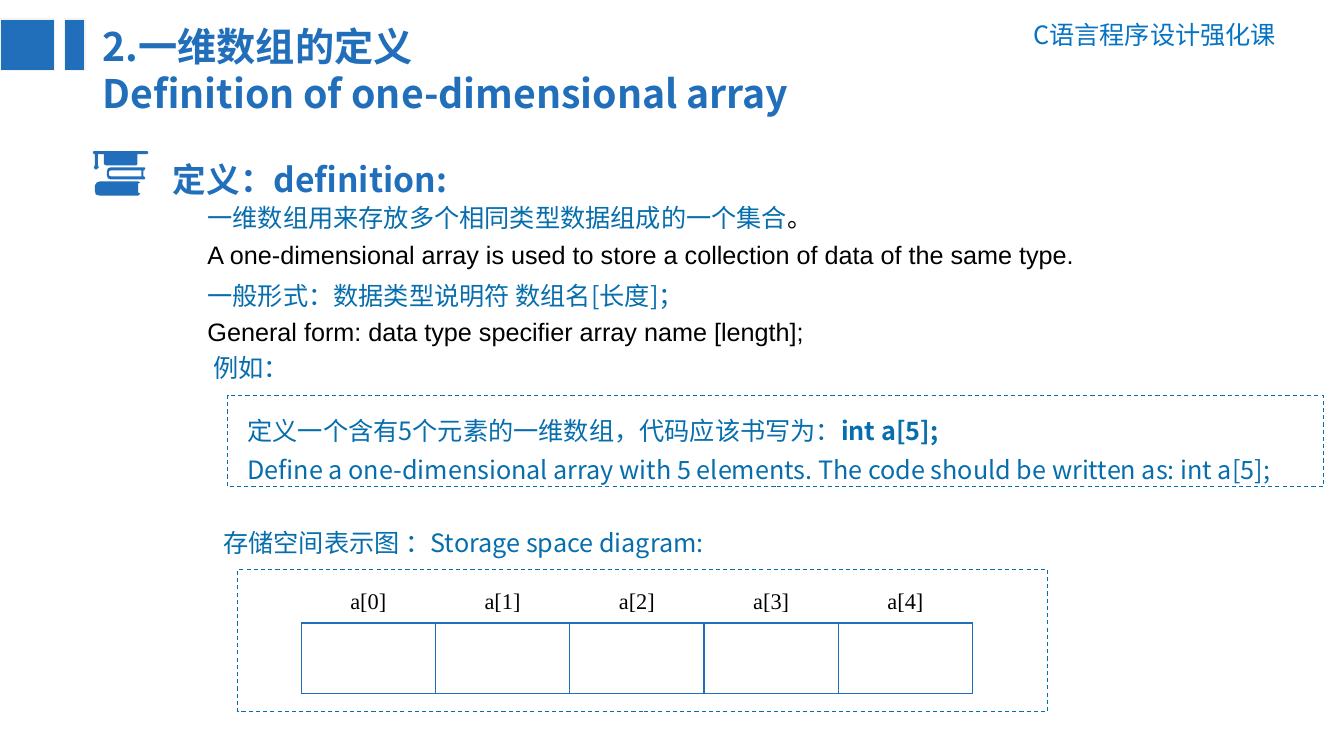
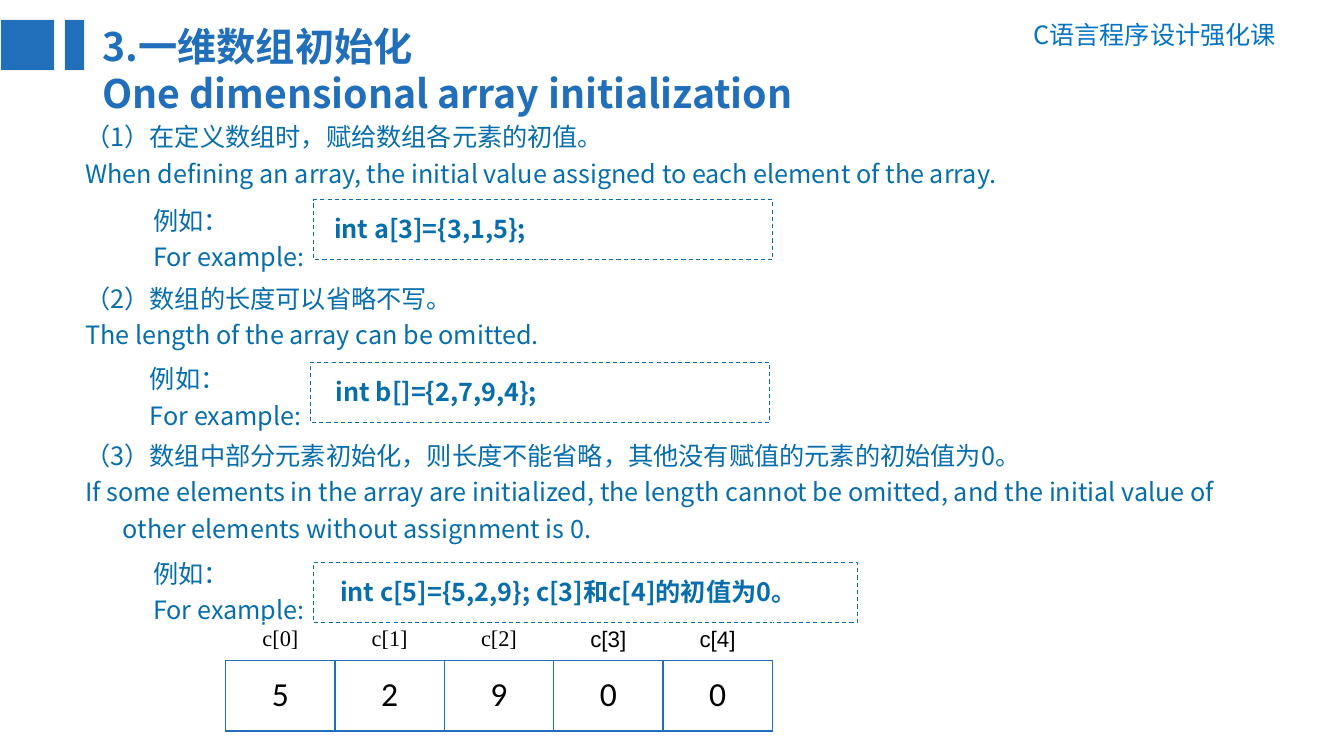
from lxml.etree import SubElement
from pptx import Presentation
from pptx.dml.color import RGBColor
from pptx.enum.dml import MSO_LINE
from pptx.enum.shapes import MSO_SHAPE
from pptx.enum.text import MSO_ANCHOR, PP_ALIGN
from pptx.oxml.ns import qn
from pptx.util import Cm, Pt

COLORS = {"blue": "216FBA", "text": "076EAD", "course": "0573C2",
          "edge": "F2F2F2", "black": "000000"}
CJK = "Noto Sans CJK SC"
COURSE = "C语言程序设计强化课"
HANGING = 0.95
BOOKS_WIDTH = 55
BOOKS_AND_CAP = [
    [(47, 42), (45, 44), (7, 44), (3, 43), (2, 39), (2, 34), (4, 31), (7, 30),
     (45, 30), (47, 31), (45, 32), (45, 41)],
    [(52, 27), (51, 28), (18, 28), (15, 27), (14, 24), (14, 20), (15, 17),
     (18, 16), (51, 16), (52, 17), (51, 19), (50, 19), (50, 25), (51, 25)],
    [(18, 25), (48, 25), (48, 19), (18, 19), (16, 20), (16, 24)],
    [(54, 0), (1, 0), (0, 1), (1, 3), (2, 3), (2, 14), (1, 16), (2, 18),
     (4, 18), (6, 16), (5, 14), (5, 3), (11, 3), (11, 13), (13, 14), (43, 14),
     (44, 13), (44, 3), (54, 3), (55, 1)],
]


def rgb(name):
    """Look up a named colour."""
    return RGBColor.from_string(COLORS[name])


def style_run(r, size=18, font=CJK, color="text", bold=False):
    """Set size, face, colour and weight of a run."""
    r.font.size, r.font.name, r.font.bold = Pt(size), font, bold
    r.font.color.rgb = rgb(color)
    SubElement(r._r.get_or_add_rPr(), qn("a:ea"), typeface=CJK)


def add_text(s, box, lines, spacing=1.2, align=None, hanging=0, **style):
    """Place paragraphs; a line is a string or a list of (text, style) runs."""
    tf = s.shapes.add_textbox(*map(Cm, box)).text_frame
    tf.word_wrap = True
    for i, line in enumerate(lines):
        p = tf.add_paragraph() if i else tf.paragraphs[0]
        p.line_spacing, p.alignment = spacing, align
        if hanging:
            pPr = p._p.get_or_add_pPr()
            pPr.set("marL", str(Cm(hanging)))
            pPr.set("indent", str(-Cm(hanging)))
        for text, extra in [(line, {})] if isinstance(line, str) else line:
            r = p.add_run()
            r.text = text
            style_run(r, **{**style, **extra})


def add_bar(s, box):
    """Draw a solid blue block."""
    sp = s.shapes.add_shape(MSO_SHAPE.RECTANGLE, *map(Cm, box))
    sp.shadow.inherit = False
    sp.fill.solid()
    sp.fill.fore_color.rgb = rgb("blue")
    sp.line.color.rgb = rgb("edge")
    sp.line.width = Pt(1)


def add_frame(s, box):
    """Draw a dashed, unfilled frame."""
    sp = s.shapes.add_shape(MSO_SHAPE.RECTANGLE, *map(Cm, box))
    sp.shadow.inherit = False
    sp.fill.background()
    sp.line.color.rgb = rgb("text")
    sp.line.width = Pt(0.75)
    sp.line.dash_style = MSO_LINE.DASH


def add_header(s, title):
    """Place the course name, the two bars and the bilingual title."""
    add_text(s, (24.79, 0.36, 7.62, 1.02), [COURSE], spacing=1,
             align=PP_ALIGN.RIGHT, color="course")
    add_text(s, (2.34, 0.43, 22.7, 2.64), title, spacing=1, size=28,
             color="blue", bold=True)
    for left, width in ((0, 1.37), (1.63, 0.51)):
        add_bar(s, (left, 0.48, width, 1.3))


def add_books(s, left, top, width):
    """Draw the books and graduation cap icon."""
    first, *others = BOOKS_AND_CAP
    fb = s.shapes.build_freeform(*first[0], scale=Cm(width) / BOOKS_WIDTH)
    fb.add_line_segments(first[1:])
    for outline in others:
        fb.move_to(*outline[0])
        fb.add_line_segments(outline[1:])
    sp = fb.convert_to_shape(Cm(left), Cm(top))
    sp.shadow.inherit = False
    sp.fill.solid()
    sp.fill.fore_color.rgb = rgb("blue")
    sp.line.fill.background()


def set_borders(cell, sides):
    """Give the named sides (in L, R, T, B order) a thin blue border."""
    for side in sides:
        ln = SubElement(cell._tc.get_or_add_tcPr(), qn("a:ln" + side),
                        w=str(Pt(1)))
        fill = SubElement(ln, qn("a:solidFill"))
        SubElement(fill, qn("a:srgbClr"), val=COLORS["blue"])


def add_array(s, left, top, width, name, values, fonts):
    """Show an array: element names above a row of bordered cells."""
    row_heights = (0.97, 1.78)
    n = len(values)
    table = s.shapes.add_table(2, n, Cm(left), Cm(top), Cm(width),
                               Cm(sum(row_heights))).table
    table.first_row = table.horz_banding = False
    for row, height in zip(table.rows, row_heights):
        row.height = Cm(height)
    for i, (value, font) in enumerate(zip(values, fonts)):
        table.columns[i].width = Cm(width / n)
        label, slot = table.cell(0, i), table.cell(1, i)
        label.text, slot.text = f"{name}[{i}]", value
        set_borders(label, "B")
        set_borders(slot, "LRTB")
        slot.vertical_anchor = MSO_ANCHOR.MIDDLE
        slot.text_frame.paragraphs[0].line_spacing = 0.9
        for cell, size, face in ((label, 16, font), (slot, 24, "Calibri")):
            cell.fill.background()
            p = cell.text_frame.paragraphs[0]
            p.alignment = PP_ALIGN.CENTER
            for r in p.runs:
                style_run(r, size, face, "black")


def add_example(s, left, top, code, frame_top, frame_width, inset):
    """Place an example caption with its framed line of code."""
    add_text(s, (left, top, 10.21, 2.03), ["例如：", "For example:"])
    frame_left = left + 4.3
    add_frame(s, (frame_left, frame_top, frame_width, 1.52))
    add_text(s, (frame_left + inset, frame_top, frame_width - inset, 1.24),
             [code], spacing=1.3, bold=True)


def definition_slide(s):
    """Build the slide that defines a one-dimensional array."""
    plain = {"font": "Arial", "color": "black"}
    add_header(s, ["2.一维数组的定义", "Definition of one-dimensional array"])
    add_books(s, 2.34, 3.81, 1.4)
    add_text(s, (4.11, 3.68, 27.84, 1.37), ["定义：definition:"], size=24,
             color="blue", bold=True)
    add_text(s, (4.98, 4.83, 27.36, 2.01), [
        [("一维数组用来存放多个相同类型数据组成的一个集合", {}), ("。", plain)],
        [("A one-dimensional array is used to store a collection of data "
          "of the same type.", plain)]])
    add_text(s, (4.98, 6.78, 20.83, 2.95), [
        "一般形式：数据类型说明符 数组名[长度]；",
        [("General form: data type specifier array name [length];", plain)]])
    add_text(s, (5.13, 8.61, 10.21, 1.17), ["例如："])
    add_text(s, (5.99, 10.11, 27.36, 2.16), [
        [("定义一个含有5个元素的一维数组，代码应该书写为：", {}),
         ("int a[5];", {"bold": True})],
        "Define a one-dimensional array with 5 elements. "
        "The code should be written as: int a[5];"], spacing=1.3)
    add_frame(s, (5.74, 9.96, 27.61, 2.31))
    add_text(s, (5.38, 13, 19.58, 1.09),
             ["存储空间表示图 ：Storage space diagram:"])
    add_frame(s, (5.99, 14.35, 20.42, 3.58))
    add_array(s, 7.59, 14.73, 16.92, "a", [""] * 5, ["Times New Roman"] * 5)


def initialization_slide(s):
    """Build the slide on three ways to initialize an array."""
    add_header(s, ["3.一维数组初始化", "One dimensional array initialization"])
    rules = [
        (2.79, 2.03, ["（1）在定义数组时，赋给数组各元素的初值。",
                      "When defining an array, the initial value assigned to "
                      "each element of the array."]),
        (6.86, 2.03, ["（2）数组的长度可以省略不写。",
                      "The length of the array can be omitted."]),
        (10.82, 2.95, ["（3）数组中部分元素初始化，则长度不能省略，"
                       "其他没有赋值的元素的初始值为0。",
                       "If some elements in the array are initialized, the "
                       "length cannot be omitted, and the initial value of "
                       "other elements without assignment is 0."]),
    ]
    for top, height, lines in rules:
        add_text(s, (1.9, top, 29.92, height), lines, hanging=HANGING)
    add_example(s, 3.61, 4.9, "int a[3]={3,1,5};", 5.03, 11.56, 0.26)
    add_example(s, 3.53, 8.89, "int b[]={2,7,9,4};", 9.13, 11.56, 0.38)
    add_example(s, 3.61, 13.79, "int c[5]={5,2,9}; c[3]和c[4]的初值为0。",
                14.17, 13.69, 0.41)
    add_array(s, 5.69, 15.67, 13.77, "c", "52900",
              ["Times New Roman"] * 3 + ["Arial"] * 2)


prs = Presentation()
prs.slide_width, prs.slide_height = Cm(33.87), Cm(19.05)
for build in (definition_slide, initialization_slide):
    build(prs.slides.add_slide(prs.slide_layouts[6]))
prs.save("out.pptx")
